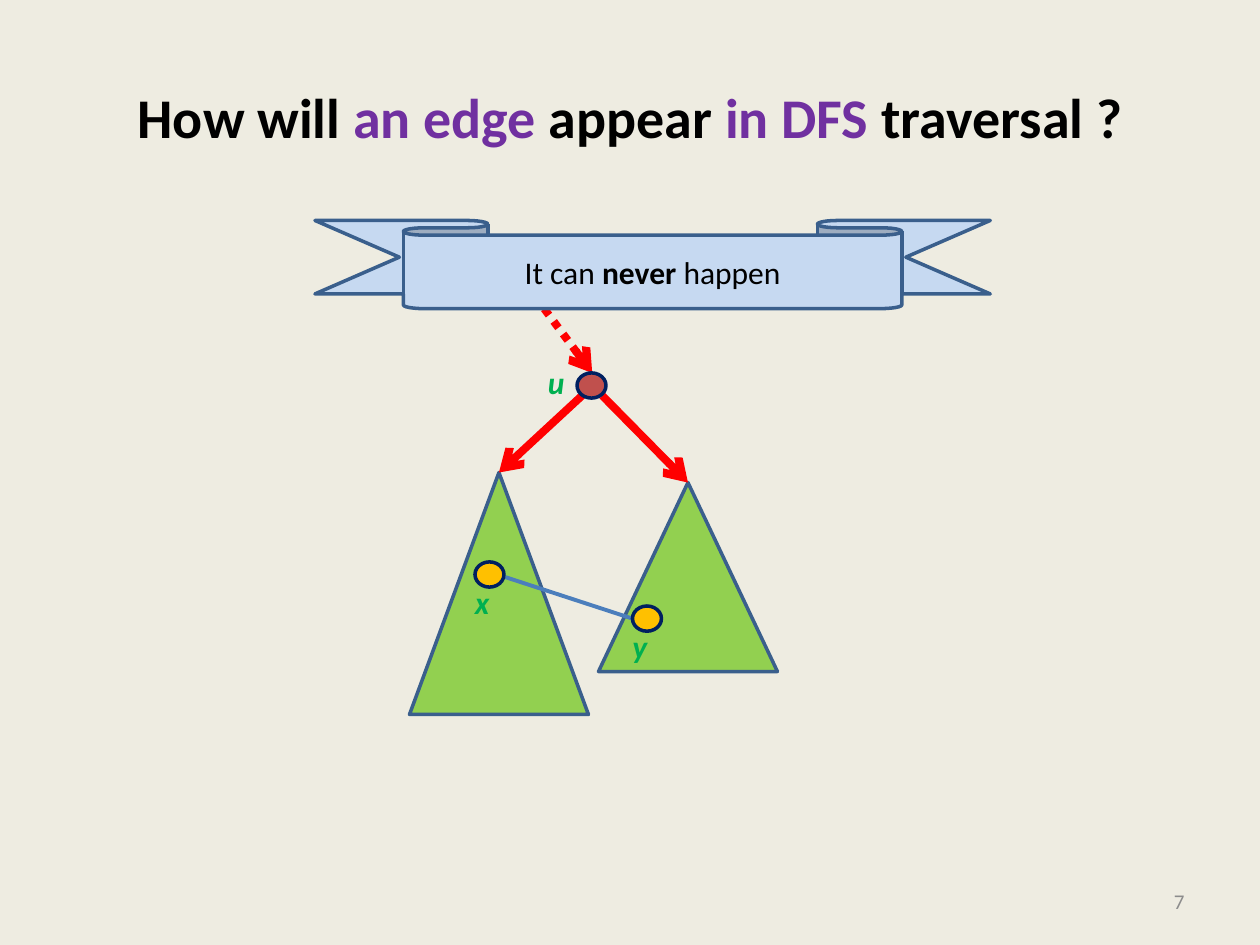
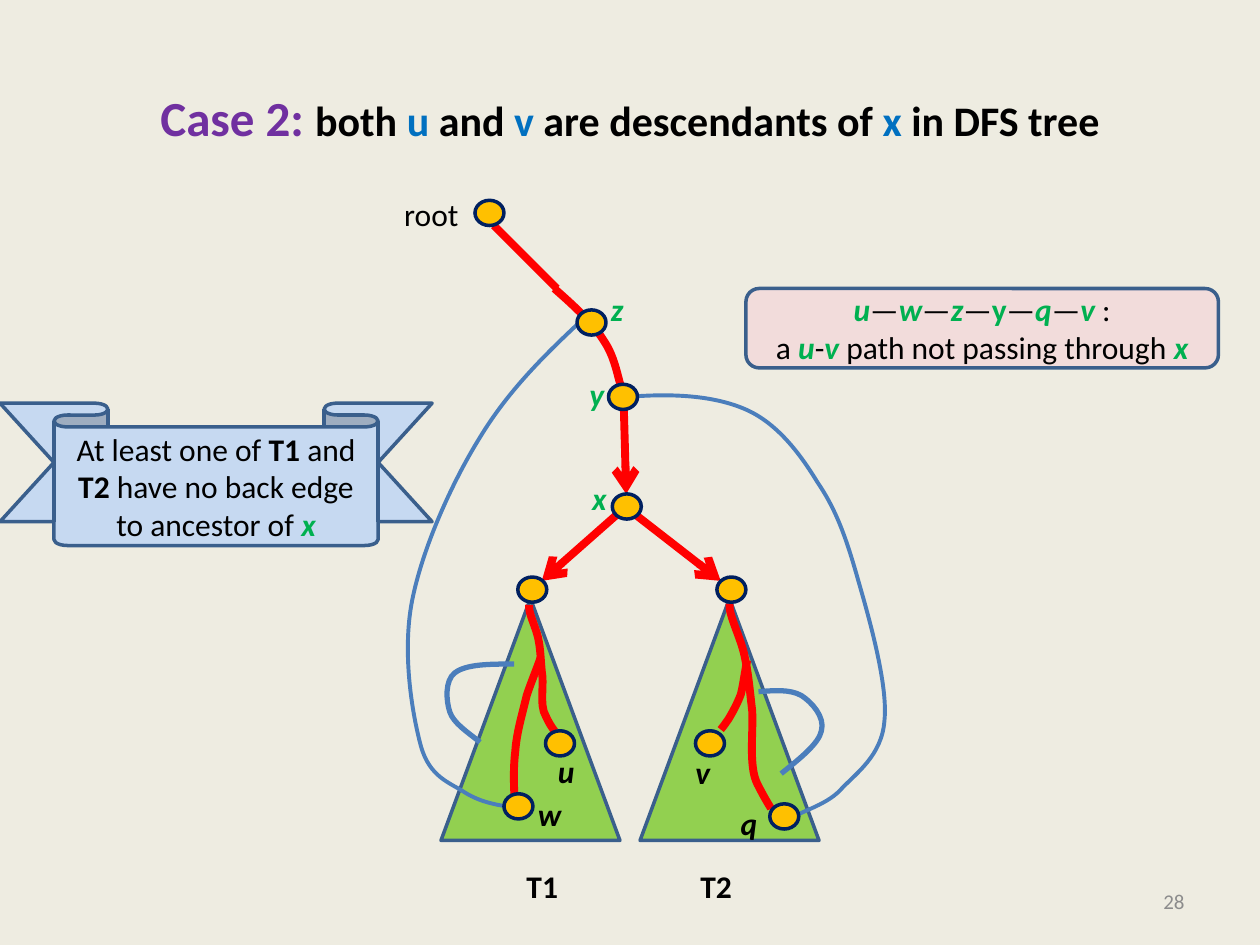
from dataclasses import dataclass
from typing import Optional

import lxml.etree
import pptx
import pptx.dml.color
import pptx.enum.dml
import pptx.enum.shapes
import pptx.enum.text
import pptx.oxml.ns
import pptx.util

Inches = pptx.util.Inches
SHAPE = pptx.enum.shapes.MSO_SHAPE
ALIGN = pptx.enum.text.PP_ALIGN
ANCHOR = pptx.enum.text.MSO_ANCHOR
FIT = pptx.enum.text.MSO_AUTO_SIZE
qn = pptx.oxml.ns.qn

# Shared look
FONT = "Calibri"
PAPER, BLACK, GRAY = "EEECE1", "000000", "8C8C8C"
PURPLE, BLUE, GREEN = "7030A0", "0070C0", "00B050"
RED, BACK_EDGE, OUTLINE, NAVY = "FF0000", "4B7EBC", "3A5F8C", "002060"
LEAF, GOLD, BRICK, SKY, PINK = "92D050", "FFC000", "C0504D", "C6D9F1", "F2DCDB"
NODE_W, NODE_H = 0.23, 0.2
TREE_W, TREE_H = 1.42, 1.92


@dataclass
class Run:
    text: str
    color: str = BLACK
    bold: bool = False
    italic: bool = False
    size: float = 18


@dataclass
class Node:
    x: float
    y: float
    fill: str = GOLD


@dataclass
class Label:
    run: Run
    x: float
    y: float
    w: float = 0.32


@dataclass
class Edge:
    start: tuple[float, float]
    end: tuple[float, float]
    color: str = RED
    width: float = 4.5
    arrow: bool = True
    dotted: bool = False


@dataclass
class Curve:
    """A start point, then three Bezier points for each segment."""
    points: list[tuple[float, float]]
    color: str = RED
    width: float = 4.5


def rgb(color: str):
    return pptx.dml.color.RGBColor.from_string(color)


def vertex(name: str, color: str = GREEN) -> Run:
    return Run(name, color, bold=True, italic=True)


# Text
def add_text(p, text: str, *, color: str = BLACK, bold: bool = False,
             italic: bool = False, size: float = 18) -> None:
    r = p.add_run()
    r.text = text
    r.font.name, r.font.size = FONT, pptx.util.Pt(size)
    r.font.bold, r.font.italic = bold, italic
    r.font.color.rgb = rgb(color)


def write(tf, *lines: list[Run], align=ALIGN.CENTER, anchor=ANCHOR.MIDDLE,
          wrap: bool = True, fit=FIT.NONE) -> None:
    tf.word_wrap, tf.auto_size, tf.vertical_anchor = wrap, fit, anchor
    for i, line in enumerate(lines):
        p = tf.add_paragraph() if i else tf.paragraphs[0]
        p.alignment = align
        for run in line:
            add_text(p, run.text, color=run.color, bold=run.bold,
                     italic=run.italic, size=run.size)


def add_label(s, label: Label) -> None:
    sp = s.shapes.add_textbox(Inches(label.x), Inches(label.y), Inches(label.w), Inches(0.4))
    write(sp.text_frame, [label.run], align=ALIGN.LEFT, anchor=ANCHOR.TOP,
          wrap=False, fit=FIT.SHAPE_TO_FIT_TEXT)


# Shapes and lines
def add_shape(s, kind, x: float, y: float, w: float, h: float, fill: str,
              line: str = OUTLINE):
    sp = s.shapes.add_shape(kind, Inches(x), Inches(y), Inches(w), Inches(h))
    sp.shadow.inherit = False
    sp.fill.solid()
    sp.fill.fore_color.rgb = rgb(fill)
    sp.line.color.rgb, sp.line.width = rgb(line), pptx.util.Pt(2)
    return sp


def add_tree(s, x: float, y: float, h: float = TREE_H) -> None:
    add_shape(s, SHAPE.ISOSCELES_TRIANGLE, x, y, TREE_W, h, LEAF)


def add_node(s, node: Node) -> None:
    add_shape(s, SHAPE.OVAL, node.x, node.y, NODE_W, NODE_H, node.fill, NAVY)


def add_ribbon(s, x: float, y: float, w: float, h: float, span: float,
               line: list[Run]) -> None:
    sp = add_shape(s, SHAPE.DOWN_RIBBON, x, y, w, h, SKY)
    sp.adjustments[0], sp.adjustments[1] = 0.167, span
    write(sp.text_frame, line)


def add_edge(s, edge: Edge) -> None:
    c = s.shapes.add_connector(pptx.enum.shapes.MSO_CONNECTOR.STRAIGHT,
                               *map(Inches, edge.start + edge.end))
    c.line.color.rgb, c.line.width = rgb(edge.color), pptx.util.Pt(edge.width)
    if edge.dotted:
        c.line.dash_style = pptx.enum.dml.MSO_LINE.ROUND_DOT
    if edge.arrow:
        lxml.etree.SubElement(c.line._get_or_add_ln(), qn("a:tailEnd"), type="arrow")
    lxml.etree.SubElement(c._element.spPr, qn("a:effectLst"))


def add_curve(s, curve: Curve) -> None:
    start, *rest = [(Inches(x), Inches(y)) for x, y in curve.points]
    builder = s.shapes.build_freeform(*start)
    builder.add_line_segments(rest, close=False)
    sp = builder.convert_to_shape()
    sp.shadow.inherit = False
    sp.fill.background()
    sp.line.color.rgb, sp.line.width = rgb(curve.color), pptx.util.Pt(curve.width)
    # Turn every three line points into one Bezier segment
    outline = sp._element.find(".//" + qn("a:path"))
    for i, step in enumerate(outline.findall(qn("a:lnTo"))):
        if i % 3 == 0:
            bezier = lxml.etree.SubElement(outline, qn("a:cubicBezTo"))
        bezier.append(step[0])
        outline.remove(step)


def add_slide(prs, number: int, title: list[Run]):
    s = prs.slides.add_slide(prs.slide_layouts[5])
    sp = s.shapes.title
    sp.left, sp.top, sp.width, sp.height = map(Inches, (0.5, 0.3, 9, 1.25))
    write(sp.text_frame, title)
    sp = s.shapes.add_textbox(Inches(7.17), Inches(6.95), Inches(2.33), Inches(0.4))
    write(sp.text_frame, [Run(str(number), GRAY, size=12)], align=ALIGN.RIGHT)
    return s


def draw_graph(s, edges: list[Edge], curves: list[Curve], nodes: list[Node],
               labels: list[Label]) -> None:
    for add, items in ((add_edge, edges), (add_curve, curves),
                       (add_node, nodes), (add_label, labels)):
        for item in items:
            add(s, item)


# Slide: an edge between two subtrees
def build_edge_slide(prs) -> None:
    parts = [("How will", BLACK), (" an edge ", PURPLE), ("appear", BLACK),
             (" in DFS ", PURPLE), ("traversal ?", BLACK)]
    s = add_slide(prs, 7, [Run(text, color, bold=True, size=32) for text, color in parts])
    add_tree(s, 3.25, 3.75)
    add_tree(s, 4.75, 3.83, 1.5)
    draw_graph(
        s,
        edges=[Edge((4.78, 3.14), (5.46, 3.83)),
               Edge((4.62, 3.14), (3.96, 3.75)),
               Edge((4.17, 2.25), (4.7, 2.96), dotted=True),
               Edge((4.01, 4.58), (5.02, 4.91), BACK_EDGE, 2.25, arrow=False)],
        curves=[],
        nodes=[Node(4.58, 2.96, BRICK), Node(5.02, 4.81), Node(3.77, 4.46)],
        labels=[Label(vertex("u"), 4.25, 2.83, 0.34),
                Label(vertex("x"), 3.67, 4.58),
                Label(vertex("y"), 4.92, 4.93)])
    add_ribbon(s, 2.5, 1.75, 5.36, 0.7, 0.738,
               [Run("It can "), Run("never ", bold=True), Run("happen")])


# Slide: both vertices below x
def build_case_slide(prs) -> Optional[None]:
    parts = [("both ", BLACK), ("u", BLUE), (" and ", BLACK), ("v", BLUE),
             (" are descendants of ", BLACK), ("x ", BLUE), ("in DFS tree", BLACK)]
    s = add_slide(prs, 28, [Run("Case 2: ", PURPLE, bold=True, size=28)]
                  + [Run(text, color, bold=True, size=24) for text, color in parts])
    for x in (3.5, 5.08):
        add_tree(s, x, 4.75)

    back_edges = [
        Curve([(3.81, 5.89), (3.71, 5.81), (3.6, 5.74), (3.57, 5.65),
               (3.54, 5.56), (3.53, 5.4), (3.61, 5.34),
               (3.7, 5.27), (3.89, 5.27), (4.08, 5.27)], BACK_EDGE, 3),
        Curve([(6.02, 5.49), (6.15, 5.48), (6.27, 5.47), (6.36, 5.52),
               (6.44, 5.57), (6.55, 5.69), (6.52, 5.8),
               (6.5, 5.9), (6.35, 6.02), (6.2, 6.14)], BACK_EDGE, 3),
        Curve([(4.09, 6.41), (3.95, 6.39), (3.82, 6.37), (3.69, 6.29),
               (3.57, 6.21), (3.41, 6.17), (3.34, 5.92),
               (3.27, 5.66), (3.19, 5.18), (3.27, 4.77),
               (3.35, 4.36), (3.58, 3.84), (3.81, 3.47),
               (4.04, 3.09), (4.34, 2.8), (4.64, 2.52)], BACK_EDGE, 2.25),
        Curve([(4.98, 3.15), (5.34, 3.12), (5.67, 3.14), (5.92, 3.25),
               (6.17, 3.36), (6.35, 3.6), (6.49, 3.83),
               (6.64, 4.05), (6.72, 4.28), (6.81, 4.6),
               (6.9, 4.91), (7.05, 5.44), (7.02, 5.72),
               (7, 6), (6.79, 6.14), (6.67, 6.27),
               (6.55, 6.4), (6.31, 6.45), (6.29, 6.5)], BACK_EDGE, 2.25)]
    tree_paths = [
        Curve([(4.4, 2.29), (4.56, 2.43), (4.71, 2.57), (4.79, 2.7),
               (4.88, 2.83), (4.9, 2.98), (4.93, 3.07),
               (4.96, 3.16), (4.96, 3.2), (4.96, 3.24)]),
        Curve([(4.2, 4.8), (4.19, 4.86), (4.25, 4.97), (4.27, 5.06),
               (4.29, 5.15), (4.29, 5.23), (4.3, 5.33),
               (4.32, 5.43), (4.28, 5.6), (4.33, 5.68),
               (4.37, 5.77), (4.41, 5.81), (4.4, 5.8)]),
        Curve([(4.29, 5.22), (4.26, 5.31), (4.22, 5.4), (4.18, 5.52),
               (4.15, 5.65), (4.1, 5.81), (4.09, 5.96),
               (4.07, 6.12), (4.08, 6.28), (4.09, 6.44)]),
        Curve([(5.79, 4.79), (5.78, 4.88), (5.88, 5.06), (5.91, 5.21),
               (5.94, 5.35), (5.95, 5.47), (5.97, 5.64),
               (5.98, 5.81), (5.94, 6.08), (6.01, 6.22),
               (6.08, 6.36), (6.13, 6.43), (6.12, 6.42)]),
        Curve([(5.93, 5.24), (5.91, 5.34), (5.9, 5.43), (5.88, 5.51),
               (5.85, 5.59), (5.81, 5.66), (5.78, 5.71),
               (5.75, 5.75), (5.74, 5.77), (5.72, 5.79)])]
    draw_graph(
        s,
        edges=[Edge((3.92, 1.79), (4.42, 2.29), arrow=False),
               Edge((4.95, 3.2), (4.97, 3.92)),
               Edge((4.89, 4.09), (4.3, 4.61)),
               Edge((5.05, 4.09), (5.72, 4.61))],
        curves=back_edges + tree_paths,
        nodes=[Node(3.77, 1.59), Node(4.58, 2.46), Node(4.83, 3.05),
               Node(4.86, 3.92), Node(4.11, 4.58), Node(5.69, 4.58),
               Node(4.33, 5.8), Node(5.52, 5.8), Node(4, 6.3), Node(6.11, 6.38)],
        labels=[Label(Run("root"), 3.11, 1.5, 0.64),
                Label(vertex("z"), 4.75, 2.25, 0.3),
                Label(vertex("y"), 4.58, 2.93),
                Label(vertex("x"), 4.6, 3.75),
                Label(vertex("u", BLACK), 4.33, 5.92, 0.34),
                Label(vertex("v", BLACK), 5.42, 5.93),
                Label(vertex("w", BLACK), 4.17, 6.26, 0.39),
                Label(vertex("q", BLACK), 5.78, 6.33, 0.34),
                Label(Run("T1", bold=True), 4.08, 6.83, 0.45),
                Label(Run("T2", bold=True), 5.46, 6.83, 0.45)])

    # Claim and resulting path
    add_ribbon(s, 0, 3.2, 3.43, 1.13, 0.75,
               [Run("At least one of "), Run("T1", bold=True), Run(" and "),
                Run("T2", bold=True), Run(" have no back edge to ancestor of "),
                vertex("x")])
    route = [vertex("u")]
    for name in "wzyqv":
        route += [Run("—"), Run(name, GREEN, bold=True, italic=name != "y")]
    sp = add_shape(s, SHAPE.ROUNDED_RECTANGLE, 5.92, 2.29, 3.75, 0.63, PINK)
    write(sp.text_frame, route + [Run(" :")],
          [Run("a "), vertex("u"), Run("-"), vertex("v"),
           Run(" path not passing through "), vertex("x")])


def main() -> None:
    prs = pptx.Presentation()
    prs.slide_width, prs.slide_height = Inches(10), Inches(7.5)
    fill = prs.slide_master.background.fill
    fill.solid()
    fill.fore_color.rgb = rgb(PAPER)
    build_edge_slide(prs)
    build_case_slide(prs)
    prs.save("out.pptx")


if __name__ == "__main__":
    main()
